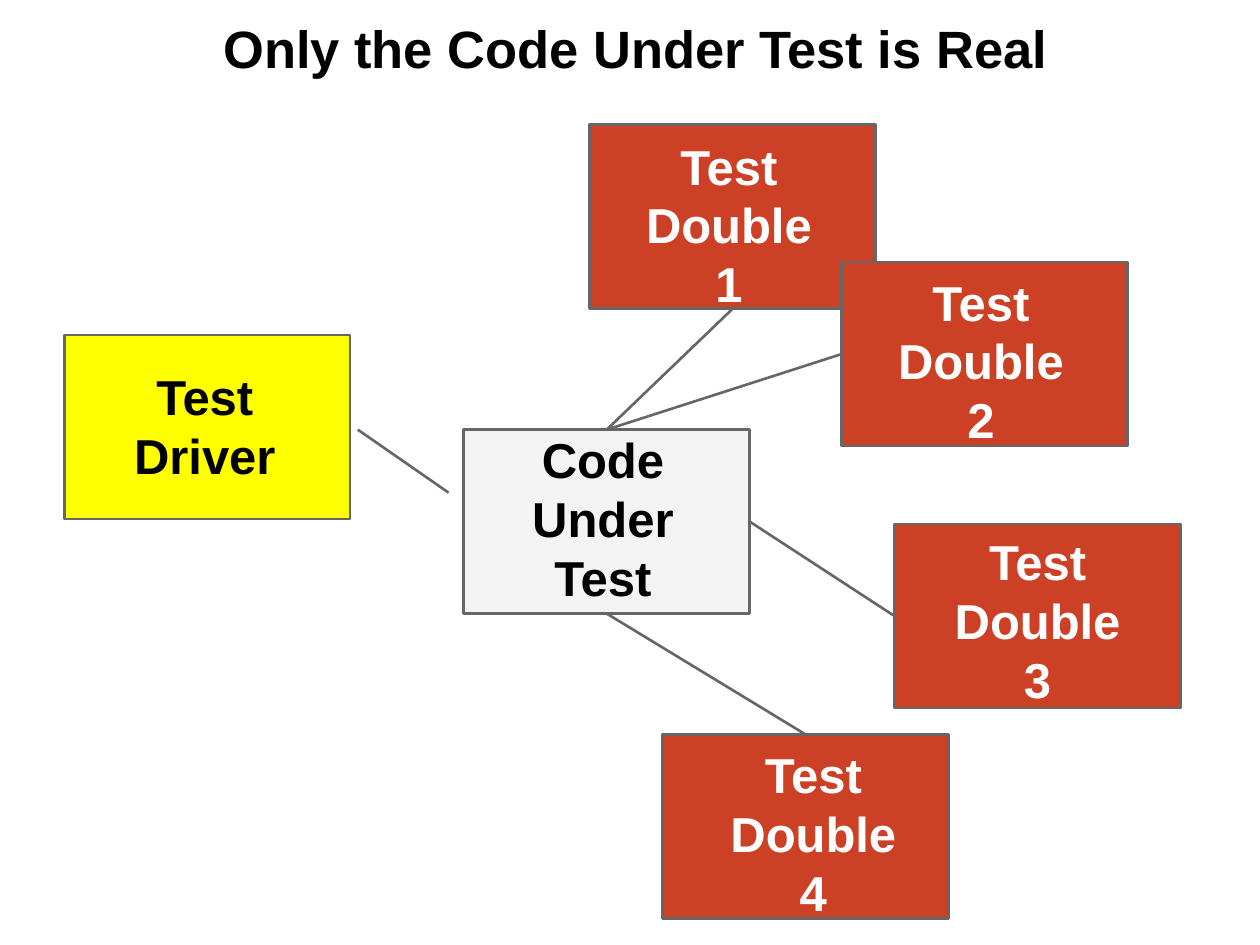
from lxml import etree
from pptx import Presentation
from pptx.dml.color import RGBColor
from pptx.enum.shapes import MSO_CONNECTOR, MSO_SHAPE
from pptx.enum.text import MSO_ANCHOR, PP_ALIGN
from pptx.oxml.ns import qn
from pptx.util import Inches, Pt

RECTANGLE = MSO_SHAPE.RECTANGLE
STRAIGHT = MSO_CONNECTOR.STRAIGHT
CENTER = PP_ALIGN.CENTER
TOP = MSO_ANCHOR.TOP

COLORS = {
    "code": "F3F3F3",
    "double": "CC4125",
    "driver": "FFFF00",
    "line": "666666",
    "dark": "000000",
    "light": "FFFFFF",
}
BOX_WIDTH, BOX_HEIGHT = 2.27, 1.46
LABEL_WIDTH, LABEL_HEIGHT = 2.45, 1.21

presentation = Presentation()
presentation.slide_width = Inches(10)
presentation.slide_height = Inches(7.5)
slide = presentation.slides.add_slide(presentation.slide_layouts[6])


def add_text(left, top, width, height, lines, size, color):
    text_box = slide.shapes.add_textbox(
        Inches(left), Inches(top), Inches(width), Inches(height))
    frame = text_box.text_frame
    frame.word_wrap = True
    frame.vertical_anchor = TOP
    frame.margin_left = frame.margin_right = Inches(0.1)
    frame.margin_top = frame.margin_bottom = Inches(0.1)
    frame.text = "\n".join(lines)
    for paragraph in frame.paragraphs:
        paragraph.alignment = CENTER
        paragraph.line_spacing = 1.0
        paragraph.font.name = "Arial"
        paragraph.font.size = Pt(size)
        paragraph.font.bold = True
        paragraph.font.color.rgb = RGBColor.from_string(COLORS[color])


def add_line(start_x=0, start_y=0, end_x=0, end_y=0):
    connector = slide.shapes.add_connector(
        STRAIGHT, Inches(start_x), Inches(start_y), Inches(end_x), Inches(end_y))
    connector.line.color.rgb = RGBColor.from_string(COLORS["line"])
    connector.line.width = Pt(1.5)
    etree.SubElement(connector._element.spPr, qn("a:effectLst"))
    return connector


# Boxes: name, left, top, fill, text colour, label left, label top, label lines
boxes = [
    ("code", 3.68, 3.41, "code", "dark", 3.56, 3.31, ["Code", "Under", "Test"]),
    ("double 1", 4.68, 0.99, "double", "light", 4.56, 0.98, ["Test", "Double", "1"]),
    ("double 2", 6.68, 2.08, "double", "light", 6.56, 2.06, ["Test", "Double", "2"]),
    ("double 3", 7.1, 4.16, "double", "light", 7.01, 4.12, ["Test", "Double", "3"]),
    ("double 4", 5.26, 5.83, "double", "light", 5.23, 5.81, ["Test", "Double", "4"]),
    ("driver", 0.51, 2.66, "driver", "dark", 0.4, 2.81, ["Test", "Driver"]),
]
shapes = {}
for name, left, top, fill, *label in boxes:
    shape = slide.shapes.add_shape(
        RECTANGLE, Inches(left), Inches(top), Inches(BOX_WIDTH), Inches(BOX_HEIGHT))
    shape.shadow.inherit = False
    shape.fill.solid()
    shape.fill.fore_color.rgb = RGBColor.from_string(COLORS[fill])
    shape.line.color.rgb = RGBColor.from_string(COLORS["line"])
    shape.line.width = Pt(1.5)
    shapes[name] = shape

# Lines from the code under test: its side, the double, the double's side
for code_side, double, double_side in [
    (0, "double 1", 2),
    (0, "double 2", 1),
    (3, "double 3", 1),
    (2, "double 4", 0),
]:
    connector = add_line()
    connector.begin_connect(shapes["code"], code_side)
    connector.end_connect(shapes[double], double_side)

# Loose line between the driver and the code
add_line(2.84, 3.41, 3.56, 3.91)

# Box labels
for *box, color, left, top, lines in boxes:
    add_text(left, top, LABEL_WIDTH, LABEL_HEIGHT, lines, 28, color)

# Title
add_text(0.47, 0.03, 9.15, 0.75, ["Only the Code Under Test is Real"], 30, "dark")

presentation.save("out.pptx")
